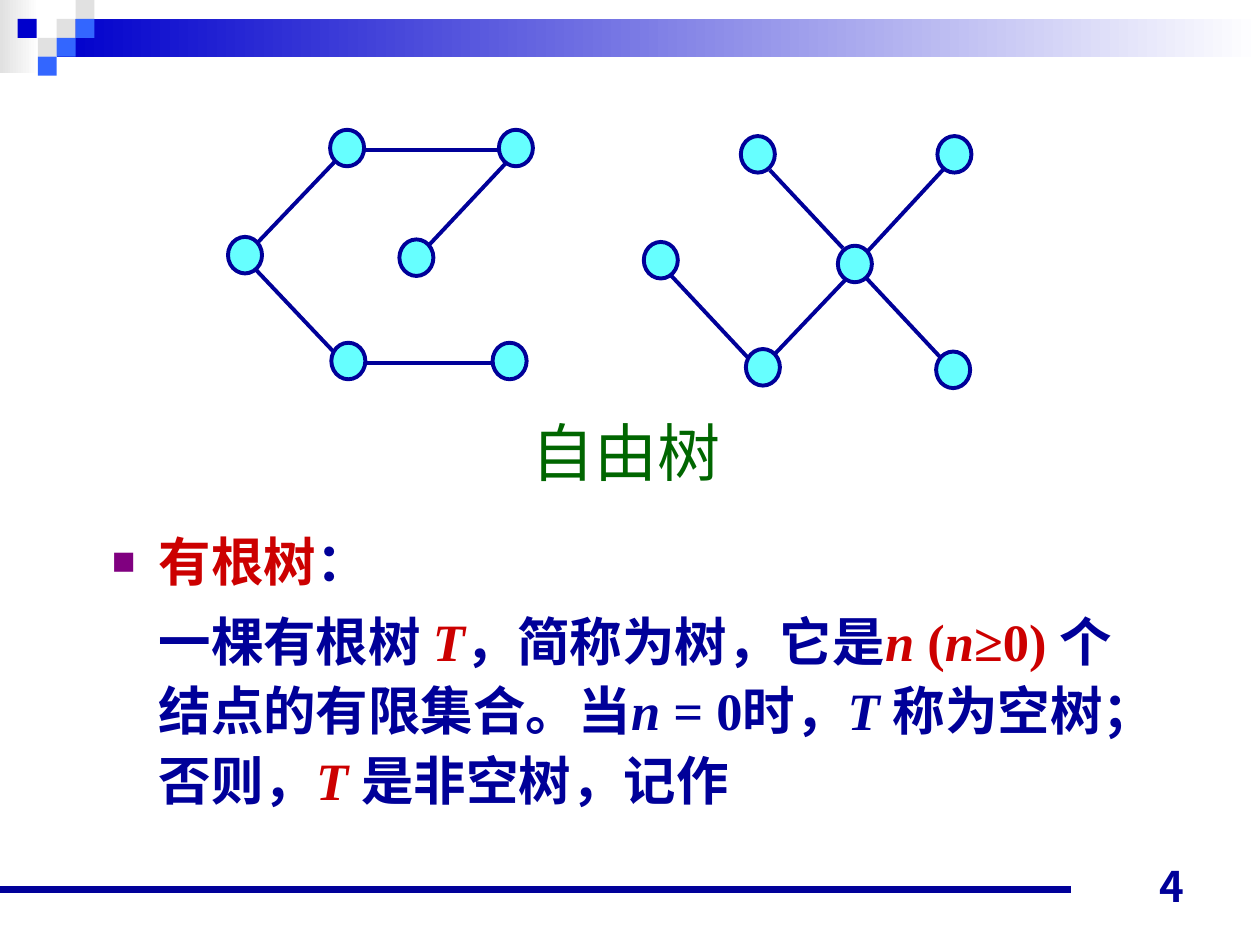
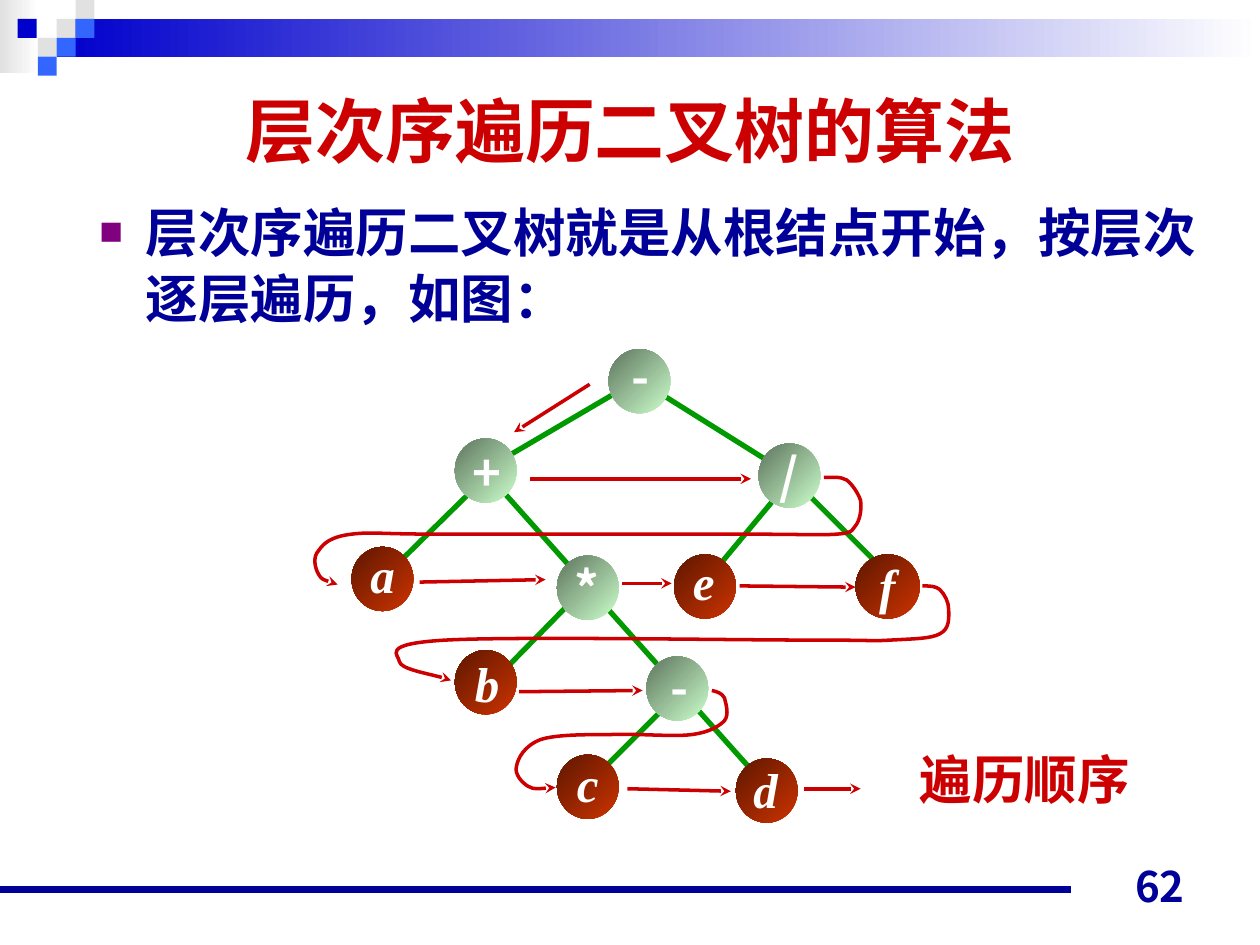
from lxml import etree
from pptx import Presentation
from pptx.dml.color import RGBColor
from pptx.enum.shapes import MSO_CONNECTOR, MSO_SHAPE
from pptx.enum.text import MSO_ANCHOR, MSO_AUTO_SIZE, PP_ALIGN
from pptx.oxml.ns import qn
from pptx.util import Inches, Pt

STRAIGHT = MSO_CONNECTOR.STRAIGHT
RECTANGLE, OVAL = MSO_SHAPE.RECTANGLE, MSO_SHAPE.OVAL
TOP, MIDDLE, BOTTOM = MSO_ANCHOR.TOP, MSO_ANCHOR.MIDDLE, MSO_ANCHOR.BOTTOM
LEFT, CENTER, RIGHT = PP_ALIGN.LEFT, PP_ALIGN.CENTER, PP_ALIGN.RIGHT
GROW = MSO_AUTO_SIZE.SHAPE_TO_FIT_TEXT

NAVY, BLUE, SKY, GRAY = "000099", "0000CC", "3366FF", "E1E1E1"
RED, DARK_GREEN, GREEN, CYAN = "CC0000", "006600", "009900", "66FFFF"
WHITE, PURPLE = "FFFFFF", "800080"
OPERATOR_COLOURS = ("CCFFCC", "5E755E")
OPERAND_COLOURS = ("CC3300", "5E1700")
SERIF, SANS = "Times New Roman", "Arial"
CJK, CJK_NUMBER = "Noto Sans CJK SC", "Noto Sans CJK JP"

SQUARE = 0.15
SQUARES = [(0.45, 0.15, GRAY), (0.6, 0, GRAY), (0.6, 0.15, SKY), (0.3, 0.3, GRAY),
           (0.14, 0.15, BLUE), (0.45, 0.3, SKY), (0.3, 0.45, SKY)]

LEFT_TREE_NODES = [(0, 0.85), (0.81, 0), (2.15, 0), (1.36, 0.87), (0.82, 1.69), (2.1, 1.69)]
LEFT_TREE_EDGES = [((1.07, 0.16), (2.16, 0.16)), ((0.85, 0.25), (0.24, 0.89)),
                   ((2.2, 0.27), (1.59, 0.92)), ((0.22, 1.11), (0.94, 1.87)),
                   ((1.03, 1.85), (2.11, 1.85))]
RIGHT_TREE_NODES = [(0, 0.84), (0.77, 0), (2.33, 0), (1.54, 0.87), (0.81, 1.69), (2.32, 1.71)]
RIGHT_TREE_EDGES = [((1.02, 1.75), (1.61, 1.13)), ((1, 0.27), (1.58, 0.89)),
                    ((0.21, 1.1), (0.93, 1.87)), ((1.74, 1.1), (2.46, 1.87)),
                    ((2.39, 0.25), (1.78, 0.91))]

# Label, circle left, top and width, then label left, top and width.
EXPRESSION_NODES = [
    ("-", 2.35, 0, 0.49, 2.43, -0.07, 0.32), ("a", 0.31, 1.57, 0.49, 0.36, 1.5, 0.39),
    ("b", 1.13, 2.39, 0.49, 1.19, 2.37, 0.39), ("c", 1.94, 3.22, 0.49, 2, 3.16, 0.37),
    ("d", 3.36, 3.25, 0.49, 3.4, 3.21, 0.39), ("f", 4.31, 1.63, 0.51, 4.4, 1.59, 0.33),
    ("e", 2.87, 1.63, 0.49, 2.92, 1.56, 0.37), ("+", 1.13, 0.71, 0.49, 1.17, 0.69, 0.42),
    ("-", 2.65, 2.44, 0.49, 2.74, 2.4, 0.32), ("*", 1.94, 1.64, 0.49, 1.98, 1.61, 0.41),
    ("/", 3.54, 0.75, 0.49, 3.61, 0.72, 0.36),
]
EXPRESSION_EDGES = [((2.49, 0.3), (1.5, 0.88)), ((1.27, 1.12), (0.69, 1.69)),
                    ((1.52, 1.14), (3.51, 3.37)), ((2.04, 2.02), (1.52, 2.55)),
                    ((2.81, 2.83), (2.25, 3.39)), ((3.7, 1.15), (3.2, 1.75)),
                    ((2.74, 0.34), (3.65, 0.91)), ((3.92, 1.14), (4.5, 1.72))]
VISIT_ARROWS = [((2.2, 0.28), (1.6, 0.66)), ((1.73, 1.03), (3.48, 1.03)),
                ((0.85, 1.85), (1.85, 1.83)), ((2.46, 1.86), (2.85, 1.86)),
                ((3.39, 1.88), (4.31, 1.89)), ((1.64, 2.72), (2.62, 2.71)),
                ((2.5, 3.49), (3.32, 3.51)), ((3.9, 3.49), (4.35, 3.49))]
# Each curve is a start point followed by groups of three Bézier points.
LEVEL_CURVES = [
    [(4.06, 1.02), (4.12, 1.02), (4.19, 1.01), (4.24, 1.04), (4.28, 1.07), (4.33, 1.14),
     (4.35, 1.2), (4.36, 1.26), (4.35, 1.34), (4.32, 1.39), (4.28, 1.43), (4.31, 1.46),
     (4.16, 1.47), (4.01, 1.48), (3.93, 1.47), (3.41, 1.47), (2.89, 1.47), (1.55, 1.47),
     (1.03, 1.47), (0.51, 1.47), (0.48, 1.45), (0.31, 1.47), (0.15, 1.49), (0.09, 1.54),
     (0.05, 1.6), (0, 1.65), (0.02, 1.74), (0.05, 1.79), (0.07, 1.83), (0.16, 1.86),
     (0.2, 1.87)],
    [(4.84, 1.88), (4.89, 1.88), (4.95, 1.88), (4.98, 1.91), (5.02, 1.95), (5.05, 2.01),
     (5.05, 2.07), (5.05, 2.13), (5.06, 2.22), (4.98, 2.26), (4.91, 2.3), (4.77, 2.3),
     (4.59, 2.31), (4.41, 2.32), (4.52, 2.31), (3.93, 2.31), (3.34, 2.31), (1.6, 2.28),
     (1.06, 2.31), (0.52, 2.34), (0.69, 2.43), (0.69, 2.48), (0.7, 2.54), (1.04, 2.6),
     (1.1, 2.63)],
    [(3.17, 2.71), (3.21, 2.72), (3.25, 2.73), (3.27, 2.77), (3.28, 2.81), (3.31, 2.9),
     (3.27, 2.95), (3.23, 2.99), (3.16, 3.04), (3.01, 3.06), (2.86, 3.08), (2.57, 3.05),
     (2.36, 3.06), (2.16, 3.06), (1.93, 3.06), (1.81, 3.1), (1.68, 3.15), (1.63, 3.25),
     (1.62, 3.31), (1.6, 3.37), (1.66, 3.44), (1.71, 3.47), (1.76, 3.5), (1.9, 3.48),
     (1.93, 3.48)],
]


def colour(value):
    return RGBColor.from_string(value)


def format_run(run, size, font, run_colour, bold=False, italic=False):
    run.font.size = Pt(size)
    run.font.name = font
    run.font.color.rgb = colour(run_colour)
    run.font.bold = bold
    run.font.italic = italic
    east_asian = etree.Element(qn("a:ea"), typeface=CJK)
    run.font._element.find(qn("a:latin")).addnext(east_asian)


def add_text_box(slide, left, top, width, height, anchor=TOP):
    box = slide.shapes.add_textbox(Inches(left), Inches(top), Inches(width), Inches(height))
    box.text_frame.word_wrap = True
    box.text_frame.vertical_anchor = anchor
    return box.text_frame


def add_label(slide, box, text, size, font, text_colour, bold=True, italic=False,
              align=CENTER, anchor=MIDDLE):
    frame = add_text_box(slide, *box, anchor)
    frame.text = text
    paragraph = frame.paragraphs[0]
    paragraph.alignment = align
    format_run(paragraph.runs[0], size, font, text_colour, bold, italic)
    return frame


def set_indent(paragraph, bulleted):
    """Indent the paragraph, hanging a small purple square before it if bulleted."""
    properties = paragraph._p.get_or_add_pPr()
    properties.set("marL", str(Inches(0.37)))
    properties.set("indent", str(Inches(-0.37 if bulleted else 0)))
    if bulleted:
        bullet_colour = etree.SubElement(properties, qn("a:buClr"))
        etree.SubElement(bullet_colour, qn("a:srgbClr"), val=PURPLE)
        etree.SubElement(properties, qn("a:buSzPct"), val="75000")
        etree.SubElement(properties, qn("a:buFont"), typeface=SERIF)
        etree.SubElement(properties, qn("a:buChar"), char="■")


def add_body(slide, box, paragraphs, line_height):
    """Write paragraphs of (text, colour, italic) runs, the first with a bullet."""
    frame = add_text_box(slide, *box)
    for index, runs in enumerate(paragraphs):
        paragraph = frame.add_paragraph() if index else frame.paragraphs[0]
        set_indent(paragraph, bulleted=index == 0)
        paragraph.line_spacing = Pt(line_height)
        paragraph.space_before = Pt(5.6 if index else 0)
        for text, run_colour, italic in runs:
            run = paragraph.add_run()
            run.text = text
            format_run(run, 30, SERIF, run_colour, bold=True, italic=italic)


def fill_gradient(shape, start, end, angle):
    shape.fill.gradient()
    shape.fill.gradient_angle = angle
    for stop, value in zip(shape.fill.gradient_stops, (start, end)):
        stop.color.rgb = colour(value)


def add_shape(slide, kind, left, top, width, height, fill=None):
    shape = slide.shapes.add_shape(kind, Inches(left), Inches(top), Inches(width), Inches(height))
    shape.shadow.inherit = False
    shape.line.fill.background()
    if fill:
        shape.fill.solid()
        shape.fill.fore_color.rgb = colour(fill)
    return shape


def style_line(shape, line_colour, width, arrow=False):
    shape.line.color.rgb = colour(line_colour)
    shape.line.width = Pt(width)
    if arrow:
        line = shape.element.spPr.find(qn("a:ln"))
        etree.SubElement(line, qn("a:tailEnd"), type="stealth")


def add_line(slide, start, end, line_colour, width, arrow=False):
    points = [Inches(value) for value in (*start, *end)]
    connector = slide.shapes.add_connector(STRAIGHT, *points)
    style_line(connector, line_colour, width, arrow)
    etree.SubElement(connector.element.spPr, qn("a:effectLst"))


def add_lines(slide, left, top, lines, line_colour, width, arrow=False):
    for (x1, y1), (x2, y2) in lines:
        add_line(slide, (left + x1, top + y1), (left + x2, top + y2), line_colour, width, arrow)


def add_curved_arrow(slide, left, top, points):
    start, *others = [(Inches(left + x), Inches(top + y)) for x, y in points]
    builder = slide.shapes.build_freeform(*start)
    builder.add_line_segments(others, close=False)
    curve = builder.convert_to_shape()
    # Merge every three straight segments into one Bézier segment.
    segments = list(curve.element.iter(qn("a:lnTo")))
    for first in range(0, len(segments), 3):
        bezier = etree.Element(qn("a:cubicBezTo"))
        segments[first].addprevious(bezier)
        for segment in segments[first:first + 3]:
            bezier.append(segment[0])
            segment.getparent().remove(segment)
    curve.shadow.inherit = False
    curve.fill.background()
    style_line(curve, RED, 2, arrow=True)


def add_frame(slide, number):
    """Draw the top band, corner squares, bottom rule and slide number."""
    corner = add_shape(slide, RECTANGLE, 0, 0, 0.31, 0.58)
    fill_gradient(corner, GRAY, WHITE, 0)
    band = add_shape(slide, RECTANGLE, 0.45, 0.15, 9.55, 0.3)
    fill_gradient(band, BLUE, WHITE, 0)
    for left, top, fill in SQUARES:
        add_shape(slide, RECTANGLE, left, top, SQUARE, SQUARE, fill)
    add_line(slide, (0, 7.06), (8.5, 7.06), NAVY, 4.5)
    add_label(slide, (7.17, 6.78, 2.33, 0.5), str(number), 24, CJK_NUMBER, NAVY,
              align=RIGHT, anchor=BOTTOM)


def add_free_tree(slide, left, top, nodes, edges):
    add_lines(slide, left, top, edges, NAVY, 2.25)
    for x, y in nodes:
        node = add_shape(slide, OVAL, left + x, top + y, 0.27, 0.29, CYAN)
        style_line(node, NAVY, 2.25)


def add_expression_tree(slide, left, top):
    add_lines(slide, left, top, EXPRESSION_EDGES, GREEN, 3)
    for label, x, y, width, label_x, label_y, label_width in EXPRESSION_NODES:
        operand = label.isalpha()
        circle = add_shape(slide, OVAL, left + x, top + y, width, 0.51)
        fill_gradient(circle, *(OPERAND_COLOURS if operand else OPERATOR_COLOURS), 135)
        label_box = (left + label_x, top + label_y, label_width, 0.57)
        frame = add_label(slide, label_box, label, 28, SERIF if operand else CJK, WHITE,
                          italic=operand, align=LEFT, anchor=TOP)
        frame.word_wrap = False
        frame.auto_size = GROW
    add_lines(slide, left, top, VISIT_ARROWS, RED, 2, arrow=True)
    for points in LEVEL_CURVES:
        add_curved_arrow(slide, left, top, points)


def build_free_tree_slide(slide):
    add_frame(slide, 4)
    add_label(slide, (0.47, 3.23, 9, 0.71), "自由树", 36, SANS, DARK_GREEN, bold=False)
    heading = [("有根树", RED, False), ("：", NAVY, False)]
    definition = [
        ("一棵有根树 ", NAVY, False), ("T", RED, True), ("，简称为树，它是", NAVY, False),
        ("n", RED, True), (" (", RED, False), ("n", RED, True), ("≥0) ", RED, False),
        ("个结点的有限集合。当", NAVY, False), ("n", NAVY, True), (" = 0时，", NAVY, False),
        ("T ", NAVY, True), ("称为空树；否则，", NAVY, False), ("T ", RED, True),
        ("是非空树，记作", NAVY, False),
    ]
    add_body(slide, (0.79, 4.1, 8.53, 2.56), [heading, definition], 39.8)
    add_free_tree(slide, 1.81, 1.03, LEFT_TREE_NODES, LEFT_TREE_EDGES)
    add_free_tree(slide, 5.11, 1.08, RIGHT_TREE_NODES, RIGHT_TREE_EDGES)


def build_level_order_slide(slide):
    add_frame(slide, 62)
    add_label(slide, (0.5, 0.5, 9, 1.05), "层次序遍历二叉树的算法", 40, SANS, RED)
    sentence = "层次序遍历二叉树就是从根结点开始，按层次逐层遍历，如图："
    add_body(slide, (0.69, 1.51, 9, 4.25), [[(sentence, NAVY, False)]], 37.8)
    add_expression_tree(slide, 2.48, 2.77)
    add_label(slide, (7.2, 5.88, 2.25, 0.6), "遍历顺序", 30, SERIF, RED, align=LEFT)


def main():
    presentation = Presentation()
    presentation.slide_width, presentation.slide_height = Inches(10), Inches(7.5)
    blank = presentation.slide_layouts[6]
    for build in (build_free_tree_slide, build_level_order_slide):
        build(presentation.slides.add_slide(blank))
    presentation.save("out.pptx")


if __name__ == "__main__":
    main()
